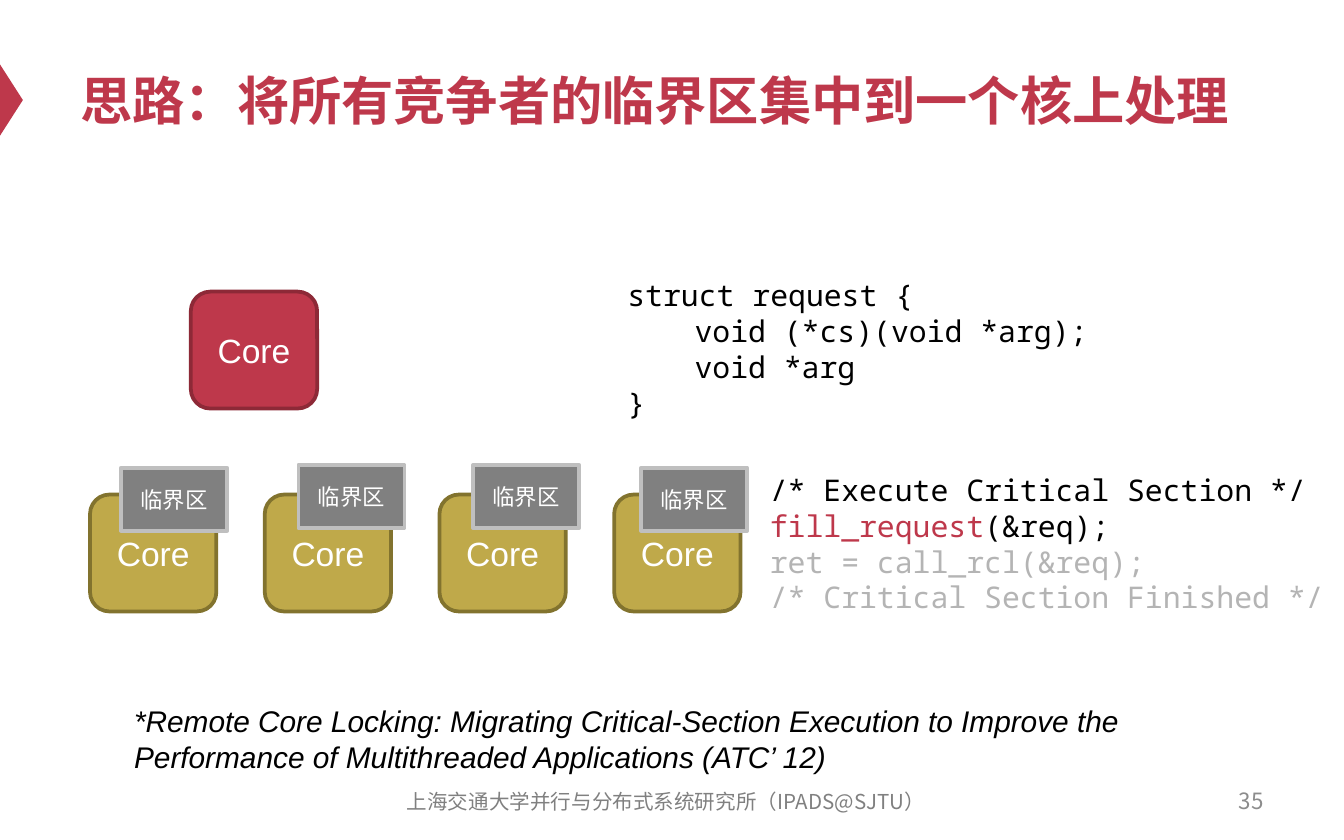
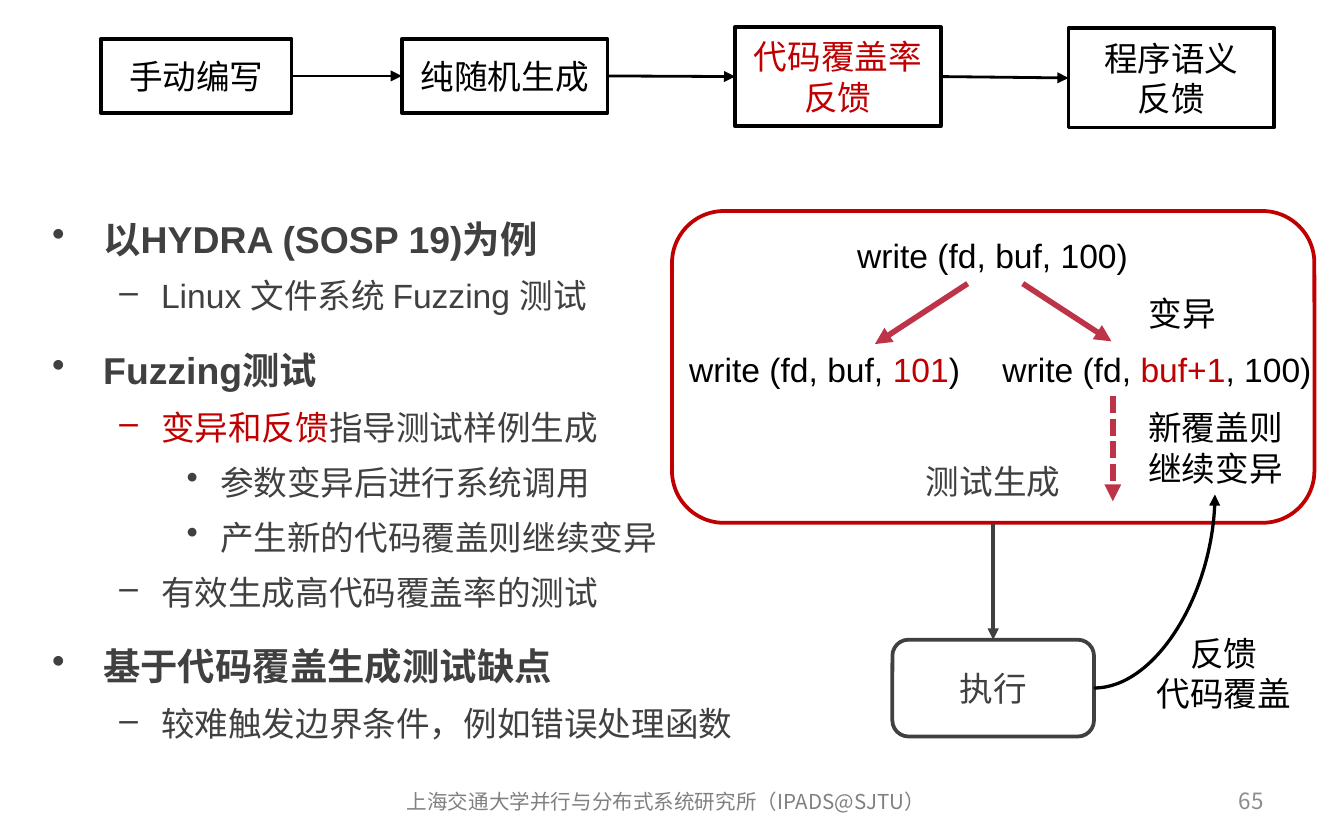
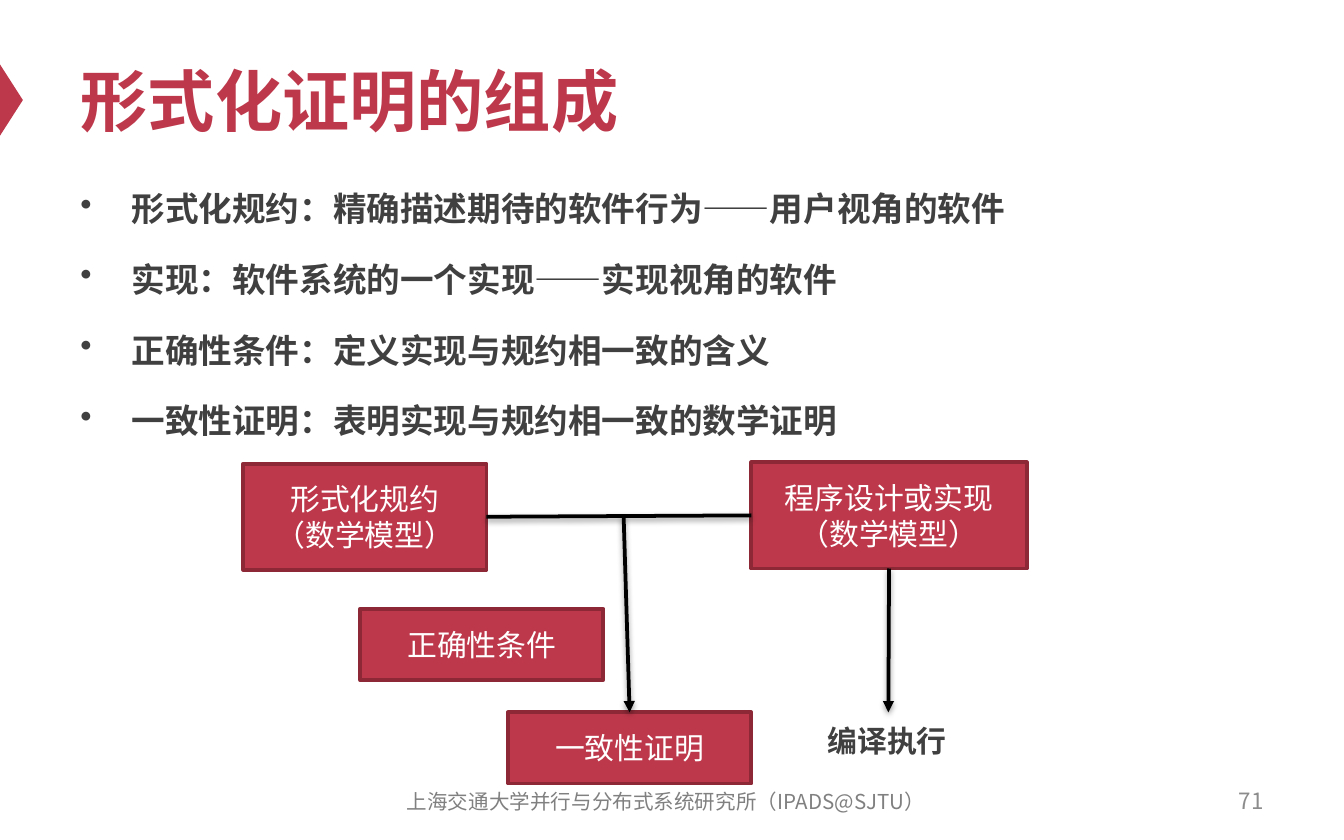
from dataclasses import dataclass
from lxml.etree import SubElement
from pptx import Presentation
from pptx.dml.color import RGBColor
from pptx.enum.dml import MSO_LINE
from pptx.enum.shapes import MSO_CONNECTOR, MSO_SHAPE
from pptx.enum.text import MSO_ANCHOR, MSO_AUTO_SIZE, PP_ALIGN
from pptx.oxml.ns import qn
from pptx.util import Inches, Pt


@dataclass(frozen=True)
class Theme:
    """Colours, fonts and type sizes shared by the slides."""
    red: str = "BE384B"
    dark_red: str = "8D2937"
    arrow_red: str = "BD3347"
    alert: str = "C00000"
    gold: str = "BFA94A"
    dark_gold: str = "82732E"
    black: str = "000000"
    white: str = "FFFFFF"
    body: str = "404040"
    gray: str = "808080"
    light_gray: str = "BFBFBF"
    faded: str = "B4B4B4"
    number: str = "8C8C8C"
    sans: str = "Arial"
    chinese: str = "Noto Sans CJK SC"
    mono: str = "Noto Sans Mono"
    title_size: int = 36
    long_title_size: int = 28
    heading_size: int = 20
    text_size: int = 18
    note_size: int = 16
    small_size: int = 12
    footer_size: int = 11
    line_pitch: float = 1.2


THEME = Theme()
FOOTER = "上海交通大学并行与分布式系统研究所（IPADS@SJTU）"

LOCK_TITLE = "思路：将所有竞争者的临界区集中到一个核上处理"
CITATION = ("*Remote Core Locking: Migrating Critical-Section Execution to Improve "
            "the Performance of Multithreaded Applications (ATC’ 12)")
SECTION_OFFSETS = [(0.23, 0.2), (0.25, 0.22), (0.25, 0.22), (0.2, 0.2)]
REQUEST_CODE = ["struct request {", "\tvoid (*cs)(void *arg);", "\tvoid *arg", "}"]
CLIENT_CODE = [
    "/* Execute Critical Section */",
    [("fill_request", THEME.red), ("(&req);", THEME.black)],
    [("ret = call_rcl(&req);", THEME.faded)],
    [("/* Critical Section Finished */", THEME.faded)],
]

FUZZING_STAGES = [
    (["手动编写"], (0.75, 0.29, 1.42, 0.55), THEME.black),
    (["纯随机生成"], (2.99, 0.29, 1.53, 0.55), THEME.black),
    (["代码覆盖率反馈"], (5.47, 0.2, 1.53, 0.74), THEME.alert),
    (["程序语义", "反馈"], (7.95, 0.21, 1.53, 0.74), THEME.black),
]
FUZZING_OUTLINE = [
    (0, "以HYDRA (SOSP 19)为例"),
    (1, "Linux 文件系统 Fuzzing 测试"),
    (0, "Fuzzing测试"),
    (1, [("变异和反馈", THEME.alert), ("指导测试样例生成", THEME.body)]),
    (2, "参数变异后进行系统调用"),
    (2, "产生新的代码覆盖则继续变异"),
    (1, "有效生成高代码覆盖率的测试"),
    (0, "基于代码覆盖生成测试缺点"),
    (1, "较难触发边界条件，例如错误处理函数"),
]
FUZZING_LABELS = [
    (["反馈", "代码覆盖"], (8.5, 4.66, 1.21, 0.71), PP_ALIGN.CENTER),
    ([[("write (fd, buf, ", THEME.black), ("101", THEME.alert), (")", THEME.black)]],
     (5.03, 2.55, 2.31, 0.4), PP_ALIGN.LEFT),
    ([[("write (fd, ", THEME.black), ("buf+1", THEME.alert), (", 100)", THEME.black)]],
     (7.36, 2.55, 2.59, 0.4), PP_ALIGN.LEFT),
    (["变异"], (8.44, 2.13, 0.71, 0.4), PP_ALIGN.CENTER),
    (["新覆盖则", "继续变异"], (8.43, 2.98, 1.23, 0.71), PP_ALIGN.CENTER),
]
MUTATION_ARROWS = [
    ((7.2, 2.11), (6.51, 2.56), None),
    ((7.61, 2.11), (8.27, 2.54), None),
    ((8.28, 2.95), (8.28, 3.73), MSO_LINE.SQUARE_DOT),
]

PROOF_TITLE = "形式化证明的组成"
PROOF_OUTLINE = [
    (0, "形式化规约：精确描述期待的软件行为——用户视角的软件"),
    (0, "实现：软件系统的一个实现——实现视角的软件"),
    (0, "正确性条件：定义实现与规约相一致的含义"),
    (0, "一致性证明：表明实现与规约相一致的数学证明"),
]
PROOF_BOXES = {
    "specification": (["形式化规约", "（数学模型）"], (1.81, 3.45, 1.81, 0.79)),
    "program": (["程序设计或实现（数学模型）"], (5.59, 3.44, 2.05, 0.79)),
    "proof": (["一致性证明"], (3.78, 5.3, 1.81, 0.53)),
    "condition": (["正确性条件"], (2.68, 4.53, 1.81, 0.53)),
}

LEVELS = [
    {"indent": (0.38, -0.38), "bullet": "•", "space_before": 12, "bold": True},
    {"indent": (0.81, -0.31), "bullet": "–", "space_before": 3.6},
    {"indent": (1.25, -0.25), "bullet": "•", "space_before": 3.6},
]


def inches(values):
    """Convert a sequence of numbers to lengths."""
    return [Inches(value) for value in values]


def write_paragraph(paragraph, content, *, size=THEME.text_size, color=THEME.black,
                    font=THEME.sans, bold=False, italic=False, align=PP_ALIGN.LEFT,
                    indent=None, bullet=None, space_before=0, spacing=1):
    """Fill a paragraph with a string or with pairs of text and colour."""
    paragraph.alignment = align
    paragraph.line_spacing = Pt(round(size * THEME.line_pitch * spacing, 1))
    paragraph.space_before = Pt(space_before)
    properties = paragraph._p.get_or_add_pPr()
    if indent:
        properties.set("marL", str(Inches(indent[0])))
        properties.set("indent", str(Inches(indent[1])))
    if bullet:
        SubElement(properties, qn("a:buChar"), char=bullet)
    for text, run_color in [(content, color)] if isinstance(content, str) else content:
        run = paragraph.add_run()
        run.text = text
        run.font.size, run.font.bold, run.font.italic = Pt(size), bold, italic
        run.font.color.rgb = RGBColor.from_string(run_color)
        run.font.name = font
        SubElement(run.font._element, qn("a:ea"), typeface=THEME.chinese)


def write(shape, paragraphs, *, anchor=MSO_ANCHOR.TOP, wrap=True, **paragraph_format):
    """Fill a shape; a paragraph may be paired with its own format in a dict."""
    frame = shape.text_frame
    frame.word_wrap, frame.auto_size = wrap, MSO_AUTO_SIZE.NONE
    frame.vertical_anchor = anchor
    for index, content in enumerate(paragraphs):
        own_format = {}
        if isinstance(content, tuple):
            content, own_format = content
        paragraph = frame.add_paragraph() if index else frame.paragraphs[0]
        write_paragraph(paragraph, content, **{**paragraph_format, **own_format})


def add_text(slide, box, paragraphs, **text_format):
    """Add a text box."""
    write(slide.shapes.add_textbox(*inches(box)), paragraphs, **text_format)


def add_outline(slide, box, items, sizes):
    """Add a bulleted outline with one type size for each level."""
    paragraphs = []
    for index, (level, content) in enumerate(items):
        level_format = {**LEVELS[level], "size": sizes[level]}
        if index == 0:
            level_format["space_before"] = 0
        paragraphs.append((content, level_format))
    add_text(slide, box, paragraphs, color=THEME.body, spacing=1.2)


def add_box(slide, kind, box, paragraphs=(), *, fill=None, line=None,
            anchor=MSO_ANCHOR.MIDDLE, **text_format):
    """Add a flat preset shape with centred text."""
    shape = slide.shapes.add_shape(kind, *inches(box))
    shape.shadow.inherit = False
    if fill:
        shape.fill.solid()
        shape.fill.fore_color.rgb = RGBColor.from_string(fill)
    else:
        shape.fill.background()
    if line:
        shape.line.color.rgb = RGBColor.from_string(line)
        shape.line.width = Pt(2)
    else:
        shape.line.fill.background()
    write(shape, paragraphs, anchor=anchor, align=PP_ALIGN.CENTER, **text_format)
    return shape


def add_line(slide, start, end, *, color=THEME.black, width=2, arrow=True,
             dash=None, curved=False, shadow=False):
    """Join two ends, each a point or a pair of shape and side number."""
    joined = [not isinstance(place[0], (int, float)) for place in (start, end)]
    points = [(0, 0) if is_joined else place
              for is_joined, place in zip(joined, (start, end))]
    kind = MSO_CONNECTOR.CURVE if curved else MSO_CONNECTOR.STRAIGHT
    connector = slide.shapes.add_connector(kind, *inches(points[0] + points[1]))
    if joined[0]:
        connector.begin_connect(*start)
    if joined[1]:
        connector.end_connect(*end)
    connector.line.color.rgb = RGBColor.from_string(color)
    connector.line.width = Pt(width)
    if dash:
        connector.line.dash_style = dash
    properties = connector.element.spPr
    if curved:
        properties.find(qn("a:prstGeom")).set("prst", "curvedConnector2")
    if arrow:
        SubElement(properties.find(qn("a:ln")), qn("a:tailEnd"), type="triangle")
    effects = SubElement(properties, qn("a:effectLst"))
    if shadow:
        outer = SubElement(effects, qn("a:outerShdw"), blurRad=str(Pt(3.1)),
                           dist=str(Pt(1.6)), dir="5400000", rotWithShape="0")
        shade = SubElement(outer, qn("a:srgbClr"), val=THEME.black)
        SubElement(shade, qn("a:alpha"), val="38000")


def add_slide(presentation, number, title=None, title_size=THEME.title_size):
    """Add a slide with its footer, and its marker and title if it has one."""
    slide = presentation.slides.add_slide(presentation.slide_layouts[5 if title else 6])
    if title:
        marker = add_box(slide, MSO_SHAPE.ISOSCELES_TRIANGLE, (-0.18, 0.66, 0.53, 0.17),
                         fill=THEME.red)
        marker.rotation = 90
        heading = slide.shapes.title
        heading.left, heading.top, heading.width, heading.height = inches((0.5, 0.25, 9, 0.98))
        write(heading, [title], size=title_size, color=THEME.red, bold=True,
              anchor=MSO_ANCHOR.MIDDLE)
    add_text(slide, (2.79, 5.8, 4.33, 0.33), [FOOTER], size=THEME.footer_size,
             color=THEME.gray, font=THEME.chinese, align=PP_ALIGN.CENTER,
             anchor=MSO_ANCHOR.MIDDLE)
    add_text(slide, (7.17, 5.79, 2.33, 0.33), [str(number)], size=THEME.small_size,
             color=THEME.number, font=THEME.chinese, align=PP_ALIGN.RIGHT,
             anchor=MSO_ANCHOR.MIDDLE)
    return slide


def build_lock_slide(presentation):
    """Show critical sections sent from client cores to one server core."""
    slide = add_slide(presentation, 35, LOCK_TITLE, THEME.long_title_size)
    add_text(slide, (0.9, 5.18, 8.2, 0.64), [CITATION], size=THEME.note_size, italic=True)
    core_size = (0.94, 0.87)
    add_box(slide, MSO_SHAPE.ROUNDED_RECTANGLE, (1.42, 2.17, *core_size), ["Core"],
            fill=THEME.red, line=THEME.dark_red, color=THEME.white)
    core_top = 3.68
    core_lefts = [0.67 + 1.3 * index for index in range(len(SECTION_OFFSETS))]
    for left in core_lefts:
        add_box(slide, MSO_SHAPE.ROUNDED_RECTANGLE, (left, core_top, *core_size), ["Core"],
                fill=THEME.gold, line=THEME.dark_gold, color=THEME.white)
    for left, (shift, rise) in zip(core_lefts, SECTION_OFFSETS):
        add_box(slide, MSO_SHAPE.RECTANGLE, (left + shift, core_top - rise, 0.79, 0.47),
                ["临界区"], fill=THEME.gray, line=THEME.light_gray,
                size=THEME.small_size, color=THEME.white)
    for box, code in [((4.57, 2.01, 4.23, 1.18), REQUEST_CODE),
                      ((5.63, 3.46, 4.4, 1.18), CLIENT_CODE)]:
        add_text(slide, box, code, size=THEME.note_size, font=THEME.mono)


def build_fuzzing_slide(presentation):
    """Show the stages of test generation and the coverage feedback loop."""
    slide = add_slide(presentation, 65)
    add_outline(slide, (0.29, 1.49, 8.83, 4.33), FUZZING_OUTLINE,
                (THEME.heading_size, THEME.text_size, THEME.text_size))
    generation = add_box(slide, MSO_SHAPE.ROUNDED_RECTANGLE, (5, 1.57, 4.78, 2.32),
                         ["测试生成"], line=THEME.alert, color=THEME.body,
                         anchor=MSO_ANCHOR.BOTTOM)
    execution = add_box(slide, MSO_SHAPE.ROUNDED_RECTANGLE, (6.64, 4.76, 1.5, 0.72),
                        ["执行"], line=THEME.body, color=THEME.body)
    add_line(slide, (generation, 2), (execution, 0), color=THEME.body)
    add_text(slide, (4.78, 1.7, 3.89, 0.4), ["write (fd, buf, 100)"],
             indent=(1.5, 0), wrap=False)
    for paragraphs, box, align in FUZZING_LABELS:
        add_text(slide, box, paragraphs, align=align, wrap=False)
    for start, end, dash in MUTATION_ARROWS:
        add_line(slide, start, end, color=THEME.arrow_red, width=3, dash=dash)
    add_line(slide, (execution, 3), (9.04, 3.68), width=1.75, curved=True)
    stages = [add_box(slide, MSO_SHAPE.RECTANGLE, box, paragraphs,
                      line=THEME.black, color=color)
              for paragraphs, box, color in FUZZING_STAGES]
    for before, after in zip(stages, stages[1:]):
        add_line(slide, (before, 3), (after, 1), width=1.5)


def build_proof_slide(presentation):
    """Show the parts of a formal proof and how they connect."""
    slide = add_slide(presentation, 71, PROOF_TITLE)
    add_outline(slide, (0.5, 1.29, 9.07, 2.38), PROOF_OUTLINE, (THEME.text_size,))
    boxes = {name: add_box(slide, MSO_SHAPE.RECTANGLE, box, paragraphs, fill=THEME.red,
                           line=THEME.dark_red, size=THEME.note_size, color=THEME.white)
             for name, (paragraphs, box) in PROOF_BOXES.items()}
    add_line(slide, (boxes["specification"], 3), (boxes["program"], 1),
             arrow=False, shadow=True)
    add_line(slide, (4.64, 3.83), (boxes["proof"], 0), shadow=True)
    add_line(slide, (boxes["program"], 2), (6.61, 5.3), shadow=True)
    add_text(slide, (6.06, 5.33, 2.4, 0.37), ["编译执行"], size=THEME.note_size,
             color=THEME.body, font=THEME.chinese, bold=True)


def main():
    """Build the presentation."""
    presentation = Presentation()
    presentation.slide_width, presentation.slide_height = inches((10, 6.25))
    build_lock_slide(presentation)
    build_fuzzing_slide(presentation)
    build_proof_slide(presentation)
    presentation.save("out.pptx")


if __name__ == "__main__":
    main()
